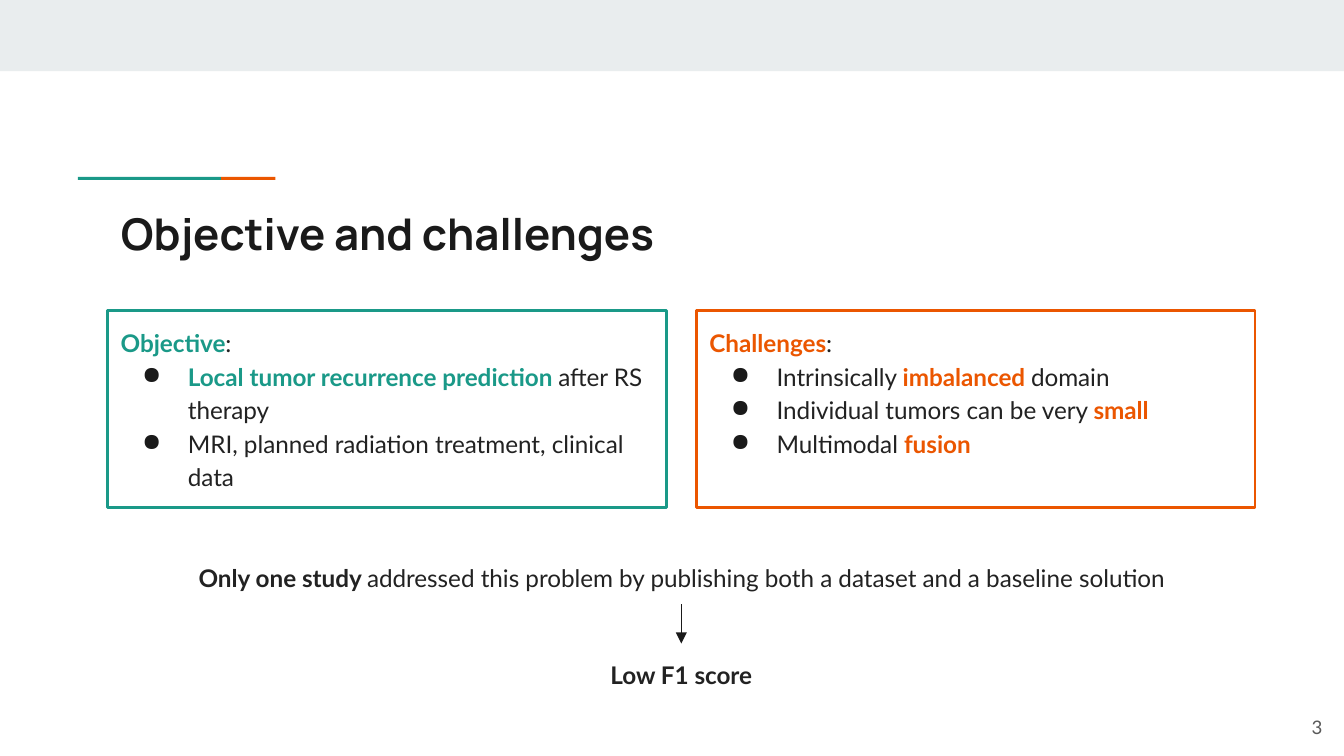
from lxml.etree import SubElement
from pptx import Presentation
from pptx.dml.color import RGBColor
from pptx.enum.shapes import MSO_CONNECTOR, MSO_SHAPE
from pptx.enum.text import MSO_ANCHOR, MSO_AUTO_SIZE, PP_ALIGN
from pptx.oxml.ns import qn
from pptx.util import Pt

COLORS = {
    "band": "E9EDEE",
    "teal": "1A9988",
    "orange": "EB5600",
    "dark": "1A1A1A",
    "body": "222222",
    "number": "595959",
}


class SlideBuilder:
    heading_font = "Manrope"
    body_font = "Lato"
    body_size = 13
    inset = 7.2

    def __init__(self, slide):
        self.slide = slide

    def color(self, name):
        return RGBColor.from_string(COLORS[name])

    def set_frame(self, shape, anchor):
        frame = shape.text_frame
        frame.word_wrap = True
        frame.auto_size = MSO_AUTO_SIZE.NONE
        frame.vertical_anchor = anchor
        frame.margin_left = frame.margin_right = Pt(self.inset)
        frame.margin_top = frame.margin_bottom = Pt(self.inset)
        return frame

    def set_font(self, paragraph, name, size, color, bold=None):
        font = paragraph.font
        font.name, font.size, font.bold = name, Pt(size), bold
        font.color.rgb = self.color(color)

    def add_runs(self, paragraph, runs, accent):
        """Each run is (text, emphasized)."""
        self.set_font(paragraph, self.body_font, self.body_size, "body")
        for text, emphasized in runs:
            run = paragraph.add_run()
            run.text = text
            if emphasized:
                run.font.bold = True
                run.font.color.rgb = self.color(accent)

    def title(self, text, left, top, width, height):
        shape = self.slide.shapes.title
        shape.left, shape.top = Pt(left), Pt(top)
        shape.width, shape.height = Pt(width), Pt(height)
        paragraph = self.set_frame(shape, MSO_ANCHOR.TOP).paragraphs[0]
        paragraph.text = text
        paragraph.alignment = PP_ALIGN.LEFT
        self.set_font(paragraph, self.heading_font, 23.4, "dark", True)

    def rectangle(self, left, top, width, height, fill=None, line=None):
        shape = self.slide.shapes.add_shape(
            MSO_SHAPE.RECTANGLE, Pt(left), Pt(top), Pt(width), Pt(height))
        shape.shadow.inherit = False
        if fill:
            shape.fill.solid()
            shape.fill.fore_color.rgb = self.color(fill)
        else:
            shape.fill.background()
        if line:
            shape.line.color.rgb = self.color(line)
            shape.line.width = Pt(1.5)
        else:
            shape.line.fill.background()
        return shape

    def add_bullet(self, paragraph):
        properties = paragraph._p.get_or_add_pPr()
        properties.set("marL", str(Pt(36)))
        properties.set("indent", str(Pt(-24.5)))
        bullet_color = SubElement(properties, qn("a:buClr"))
        SubElement(bullet_color, qn("a:srgbClr"), val=COLORS["dark"])
        SubElement(properties, qn("a:buChar"), char="●")

    def card(self, left, top, width, height, accent, heading, bullets):
        shape = self.rectangle(left, top, width, height, line=accent)
        frame = self.set_frame(shape, MSO_ANCHOR.TOP)
        for index, runs in enumerate([[(heading, True), (":", False)], *bullets]):
            paragraph = frame.add_paragraph() if index else frame.paragraphs[0]
            paragraph.alignment = PP_ALIGN.LEFT
            paragraph.line_spacing = 1.15
            if index:
                self.add_bullet(paragraph)
            self.add_runs(paragraph, runs, accent)

    def text_box(self, left, top, width, height, alignment):
        shape = self.slide.shapes.add_textbox(
            Pt(left), Pt(top), Pt(width), Pt(height))
        paragraph = self.set_frame(shape, MSO_ANCHOR.MIDDLE).paragraphs[0]
        paragraph.alignment = alignment
        return shape, paragraph

    def statement(self, left, top, width, height, runs):
        shape, paragraph = self.text_box(left, top, width, height, PP_ALIGN.CENTER)
        paragraph.line_spacing = 1.15
        self.add_runs(paragraph, runs, "body")
        return shape

    def page_number(self, text, left, top, width, height):
        paragraph = self.text_box(left, top, width, height, PP_ALIGN.RIGHT)[1]
        paragraph.text = text
        self.set_font(paragraph, self.body_font, 10, "number")

    def down_arrow(self, upper, lower):
        connector = self.slide.shapes.add_connector(
            MSO_CONNECTOR.STRAIGHT, 0, 0, 0, 0)
        connector.begin_connect(upper, 2)
        connector.end_connect(lower, 0)
        connector.line.color.rgb = self.color("dark")
        connector.line.width = Pt(0.75)
        SubElement(connector.line._get_or_add_ln(), qn("a:tailEnd"), type="triangle")
        SubElement(connector._element.spPr, qn("a:effectLst"))


def main():
    presentation = Presentation()
    presentation.slide_width, presentation.slide_height = Pt(720), Pt(405)
    slide = presentation.slides.add_slide(presentation.slide_layouts[5])
    builder = SlideBuilder(slide)

    # Top band and two-colour accent line
    builder.rectangle(0, 0, 720, 38.2, fill="band")
    builder.rectangle(41.8, 94.8, 76.7, 1.6, fill="teal")
    builder.rectangle(118.5, 94.8, 29, 1.6, fill="orange")

    builder.title("Objective and challenges", 57.6, 103.7, 605.5, 42.5)

    # Two cards side by side
    cards = [
        ("teal", "Objective", [
            [("Local tumor recurrence prediction", True), (" after RS therapy", False)],
            [("MRI, planned radiation treatment, clinical data", False)],
        ]),
        ("orange", "Challenges", [
            [("Intrinsically ", False), ("imbalanced ", True), ("domain", False)],
            [("Individual tumors can be very ", False), ("small", True)],
            [("Multimodal ", False), ("fusion", True)],
        ]),
    ]
    card_width, gap = 299.4, 16
    for index, (accent, heading, bullets) in enumerate(cards):
        left = 57.6 + index * (card_width + gap)
        builder.card(left, 166.5, card_width, 105.6, accent, heading, bullets)

    # Prior work and its result
    study = builder.statement(57.6, 293, 614.8, 30.8, [
        ("Only one study ", True),
        ("addressed this problem by publishing both a dataset and a baseline solution",
         False),
    ])
    result = builder.statement(318, 344.8, 94, 30.8, [("Low F1 score", True)])
    builder.down_arrow(study, result)

    builder.page_number("3", 672.4, 373.8, 43.2, 31)
    presentation.save("out.pptx")


if __name__ == "__main__":
    main()
